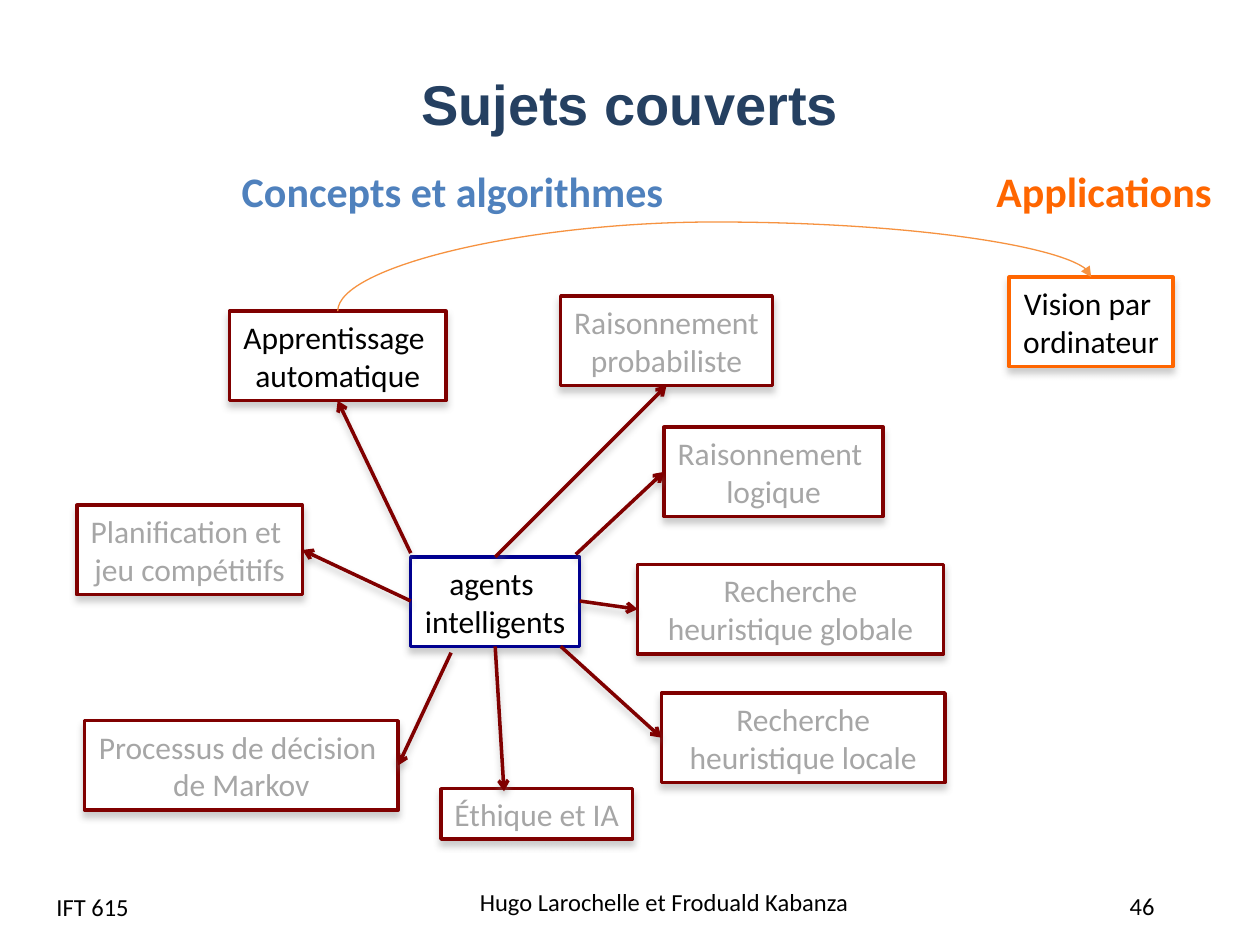
from dataclasses import dataclass

from lxml import etree
from pptx import Presentation, util as u
from pptx.dml.color import RGBColor
from pptx.enum import shapes, text
from pptx.oxml.ns import qn

TOP, LEFT, BOTTOM, RIGHT = range(4)


@dataclass(frozen=True)
class Theme:
    """Colours, fonts and type sizes of the deck."""
    navy: str = "254061"
    blue: str = "4F81BD"
    orange: str = "FF6600"
    curve: str = "F69240"
    maroon: str = "800000"
    agent: str = "000090"
    black: str = "000000"
    muted: str = "A6A6A6"
    white: str = "FFFFFF"
    shadow: str = "808080"
    head_font: str = "Arial"
    body_font: str = "Calibri"
    title: int = 32
    heading: int = 24
    body: int = 18
    small: int = 14


class Deck:
    """Draws on the current slide in a grid of 100 columns by 75 rows."""

    def __init__(self, theme):
        self.t = theme
        self.prs = Presentation()
        self.prs.slide_width, self.prs.slide_height = u.Inches(10), u.Inches(7.5)
        self.s = self.prs.slides.add_slide(self.prs.slide_layouts[6])

    def grid(self, *cells):
        """Turn grid cells into slide lengths."""
        return [round(c * self.prs.slide_width / 100) for c in cells]

    def set_text(self, sp, lines, size, color, align, wrap, bold=False, font=None):
        """Fill a shape with one paragraph per line."""
        tf = sp.text_frame
        tf.word_wrap = wrap
        tf.vertical_anchor = text.MSO_ANCHOR.MIDDLE
        for i, line in enumerate(lines):
            p = tf.add_paragraph() if i else tf.paragraphs[0]
            p.text, p.alignment = line, align
            p.font.name, p.font.size = font or self.t.body_font, u.Pt(size)
            p.font.bold = bold
            p.font.color.rgb = RGBColor.from_string(color)

    def label(self, at, line, size, color, align=text.PP_ALIGN.LEFT, wrap=True, **style):
        """Add a plain text box."""
        sp = self.s.shapes.add_textbox(*self.grid(*at))
        self.set_text(sp, [line], size, color, align, wrap, **style)

    def effects(self, sp, shadow=True):
        """Set the drop shadow, or none."""
        fx = etree.SubElement(sp._element.spPr, qn("a:effectLst"))
        if shadow:
            outer = etree.SubElement(fx, qn("a:outerShdw"), blurRad="50800", dist="38100",
                                     dir="5400000", rotWithShape="0")
            color = etree.SubElement(outer, qn("a:srgbClr"), val=self.t.shadow)
            etree.SubElement(color, qn("a:alpha"), val="40000")

    def stroke(self, sp, color, width):
        """Set the outline of a shape or connector."""
        sp.line.color.rgb = RGBColor.from_string(color)
        sp.line.width = u.Pt(width)

    def box(self, at, lines, line, color, wrap=False):
        """Add a framed topic."""
        sp = self.s.shapes.add_shape(shapes.MSO_SHAPE.RECTANGLE, *self.grid(*at))
        sp.fill.solid()
        sp.fill.fore_color.rgb = RGBColor.from_string(self.t.white)
        self.stroke(sp, line, 2)
        self.effects(sp)
        self.set_text(sp, lines, self.t.body, color, text.PP_ALIGN.CENTER, wrap)
        return sp

    def connector(self, kind, ends, color, width, head):
        """Add a connector with an arrowhead at its end."""
        c = self.s.shapes.add_connector(kind, *self.grid(*ends))
        self.stroke(c, color, width)
        etree.SubElement(c._element.spPr.find(qn("a:ln")), qn("a:tailEnd"), type=head)
        return c

    def arrow(self, start, end, target=None, site=None):
        """Add a straight arrow, glued to a side of its target if given."""
        c = self.connector(shapes.MSO_CONNECTOR.STRAIGHT, start + end, self.t.maroon, 2, "arrow")
        self.effects(c)
        if target is not None:
            c.end_connect(target, site)

    def arc(self, start, end, bend):
        """Add a curve that leaves and arrives vertically."""
        (x1, y1), (x2, y2) = start, end
        cx, cy = (x1 + x2) / 2, (y1 + y2) / 2
        dx, dy = (y1 - y2) / 2, (x2 - x1) / 2
        c = self.connector(shapes.MSO_CONNECTOR.CURVE, (cx + dx, cy + dy, cx - dx, cy - dy),
                           self.t.curve, 0.75, "triangle")
        self.effects(c, shadow=False)
        pr = c._element.spPr
        pr.find(qn("a:xfrm")).set("rot", "5400000")
        guides = pr.find(qn("a:prstGeom")).find(qn("a:avLst"))
        etree.SubElement(guides, qn("a:gd"), name="adj1", fmla=f"val {round(bend * 100000)}")


def main():
    """Build the slide of covered topics."""
    t = Theme()
    d = Deck(t)
    center = text.PP_ALIGN.CENTER
    d.label((2.5, 4.3, 95, 7.7), "Sujets couverts", t.title, t.navy, center,
            bold=True, font=t.head_font)
    d.label((37.1, 69.7, 33.9, 3.7), "Hugo Larochelle et Froduald Kabanza", t.small, t.black)
    d.label((86.6, 70.6, 8.1, 2.6), "46", t.small, t.black, center)
    d.label((3.5, 70, 23.3, 4), "IFT 615", t.small, t.black)

    row = 7.1
    d.box((32.6, 44.2, 13.4, row), ["agents ", "intelligents"], t.agent, t.black)
    topics = [
        ((52.7, 33.9, 17.4, row), ["Raisonnement ", "logique"], t.muted, (45.7, 44), LEFT),
        ((18.2, 24.7, 17.2, row), ["Apprentissage ", "automatique"], t.black, (32.6, 43.9), BOTTOM),
        ((6.7, 57.2, 24.9, row), ["Processus de décision ", "de Markov"], t.muted,
         (35.8, 51.8), RIGHT),
        ((6.1, 40.1, 17.9, row), ["Planification et ", "jeu compétitifs"], t.muted,
         (32.6, 47.7), RIGHT),
        ((52.5, 55, 22.5, row), ["Recherche heuristique locale"], t.muted, (44.5, 51.3), LEFT),
        ((50.6, 44.8, 24.3, row), ["Recherche heuristique globale"], t.muted, (46, 47.7), LEFT),
        ((44.5, 23.5, 16.8, row), ["Raisonnement", "probabiliste"], t.muted, (39.3, 44.2), BOTTOM),
    ]
    for at, lines, color, start, site in topics:
        target = d.box(at, lines, t.maroon, color, wrap=len(lines) == 1)
        d.arrow(start, at[:2], target, site)
    d.box((35, 62.6, 15.2, 4), ["Éthique et IA"], t.maroon, t.muted)
    d.arrow((39.3, 51.3), (40, 62.8))

    for at, line, color in [((78.1, 12.6, 19.3, 5), "Applications", t.orange),
                            ((18.2, 12.6, 35.8, 5), "Concepts et algorithmes", t.blue)]:
        d.label(at, line, t.heading, color, wrap=False, bold=True)
    d.box((80.1, 22, 13, row), ["Vision par ", "ordinateur"], t.orange, t.black)
    d.arc((26.8, 24.7), (86.6, 22), 2.62)
    d.prs.save("out.pptx")


if __name__ == "__main__":
    main()
